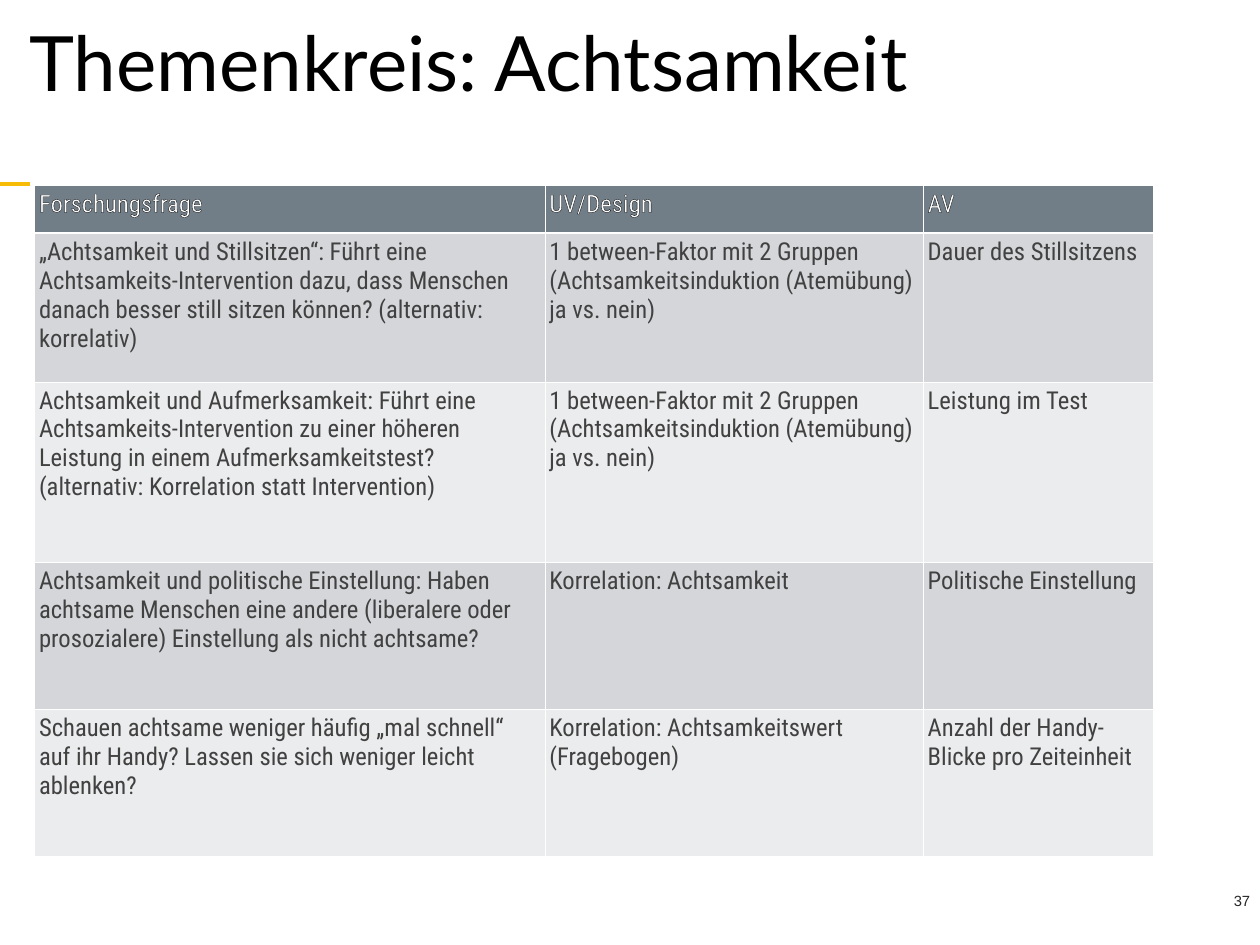
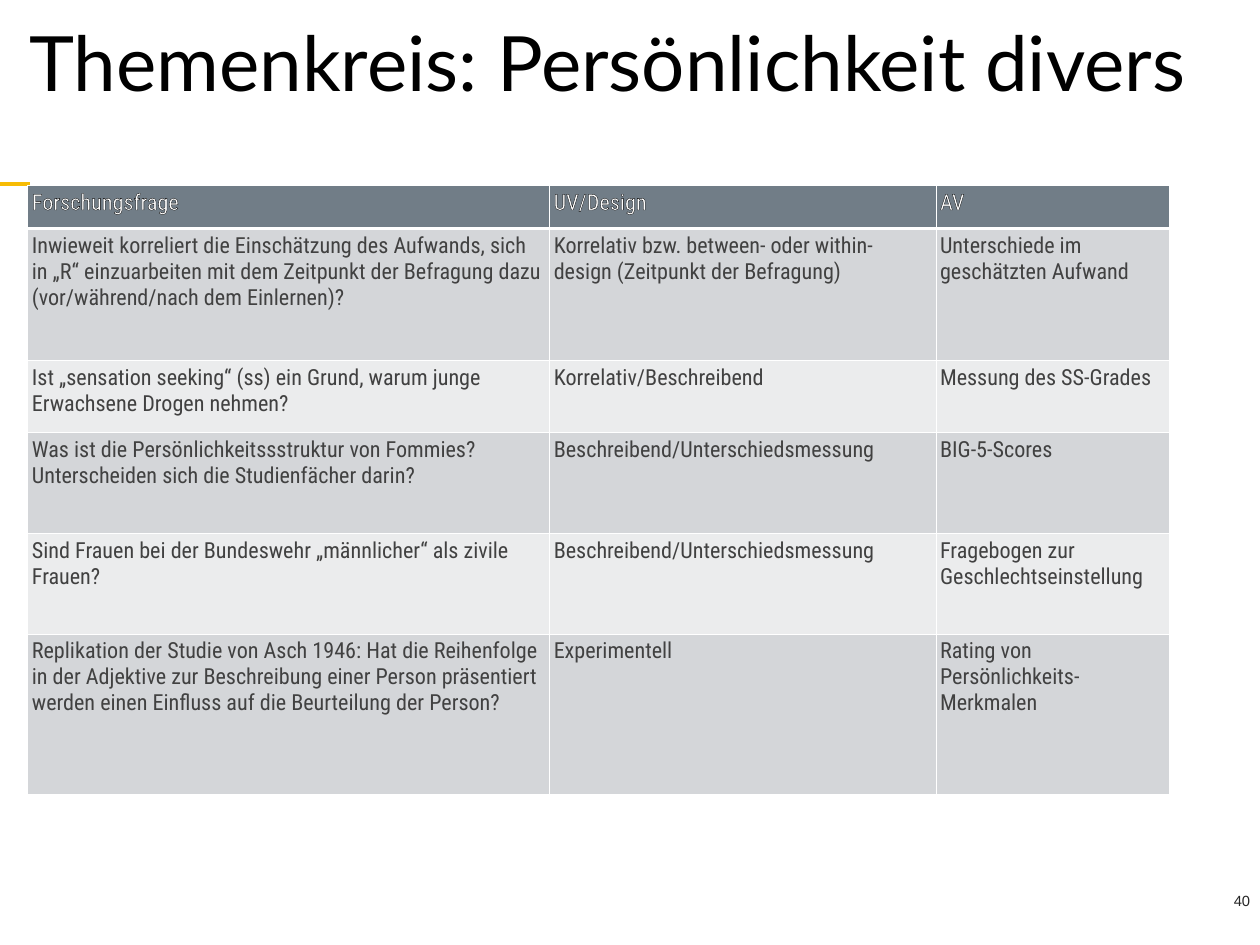
from dataclasses import dataclass

from lxml import etree
from pptx import Presentation
from pptx.dml.color import RGBColor
from pptx.enum.shapes import MSO_CONNECTOR
from pptx.enum.text import MSO_ANCHOR, PP_ALIGN
from pptx.oxml.ns import qn
from pptx.util import Inches, Pt

STRAIGHT = MSO_CONNECTOR.STRAIGHT
LEFT, RIGHT = PP_ALIGN.LEFT, PP_ALIGN.RIGHT
TOP, MIDDLE = MSO_ANCHOR.TOP, MSO_ANCHOR.MIDDLE
BLANK_LAYOUT = 6


@dataclass(frozen=True)
class Theme:
    title_color: str = "000000"
    accent: str = "F7BC05"
    number_color: str = "262626"
    header_fill: str = "717D87"
    header_text: str = "FFFFFF"
    header_outline: str = "000000"
    body_text: str = "414141"
    band_fills: tuple[str, str] = ("D4D6D9", "EBECED")
    border: str = "FFFFFF"
    title_font: str = "Lato"
    number_font: str = "Arial"
    table_font: str = "Roboto Condensed"
    title_size: float = 62
    number_size: float = 12
    accent_width: float = 3
    thin_border: float = 0.25
    header_border: float = 2
    cell_inset: float = 0.05


@dataclass(frozen=True)
class TopicPage:
    title: str
    number: str
    table_left: float
    text_size: float
    columns: tuple[float, ...]
    heights: tuple[float, ...]
    rows: tuple[tuple[str, str, str], ...]


THEME = Theme()
TABLE_TOP = 2.09
HEADER = ("Forschungsfrage", "UV/Design", "AV")
MINDFULNESS_DESIGN = "1 between-Faktor mit 2 Gruppen (Achtsamkeitsinduktion (Atemübung) ja vs. nein)"
DESCRIPTIVE_DESIGN = "Beschreibend/Unterschiedsmessung"

PAGES = (
    TopicPage(
        title="Themenkreis: Achtsamkeit",
        number="37",
        table_left=0.39,
        text_size=20,
        columns=(5.76, 4.27, 2.59),
        heights=(0.54, 1.68, 2.04, 1.66, 1.66),
        rows=(
            ("„Achtsamkeit und Stillsitzen“: Führt eine Achtsamkeits-Intervention dazu, "
             "dass Menschen danach besser still sitzen können? (alternativ: korrelativ)",
             MINDFULNESS_DESIGN, "Dauer des Stillsitzens"),
            ("Achtsamkeit und Aufmerksamkeit: Führt eine Achtsamkeits-Intervention zu einer "
             "höheren Leistung in einem Aufmerksamkeitstest? "
             "(alternativ: Korrelation statt Intervention)",
             MINDFULNESS_DESIGN, "Leistung im Test"),
            ("Achtsamkeit und politische Einstellung: Haben achtsame Menschen eine andere "
             "(liberalere oder prosozialere) Einstellung als nicht achtsame?",
             "Korrelation: Achtsamkeit", "Politische Einstellung"),
            ("Schauen achtsame weniger häufig „mal schnell“ auf ihr Handy? "
             "Lassen sie sich weniger leicht ablenken?",
             "Korrelation: Achtsamkeitswert (Fragebogen)",
             "Anzahl der Handy-Blicke pro Zeiteinheit"),
        ),
    ),
    TopicPage(
        title="Themenkreis: Persönlichkeit divers",
        number="40",
        table_left=0.31,
        text_size=18,
        columns=(5.89, 4.36, 2.64),
        heights=(0.49, 1.49, 0.81, 1.14, 1.14, 1.81),
        rows=(
            ("Inwieweit korreliert die Einschätzung des Aufwands, sich in „R“ einzuarbeiten "
             "mit dem Zeitpunkt der Befragung dazu (vor/während/nach dem Einlernen)?",
             "Korrelativ bzw. between- oder within-design (Zeitpunkt der Befragung)",
             "Unterschiede im geschätzten Aufwand"),
            ("Ist „sensation seeking“ (ss) ein Grund, warum junge Erwachsene Drogen nehmen?",
             "Korrelativ/Beschreibend", "Messung des SS-Grades"),
            ("Was ist die Persönlichkeitssstruktur von Fommies? "
             "Unterscheiden sich die Studienfächer darin?",
             DESCRIPTIVE_DESIGN, "BIG-5-Scores"),
            ("Sind Frauen bei der Bundeswehr „männlicher“ als zivile Frauen?",
             DESCRIPTIVE_DESIGN, "Fragebogen zur Geschlechtseinstellung"),
            ("Replikation der Studie von Asch 1946: Hat die Reihenfolge in der Adjektive zur "
             "Beschreibung einer Person präsentiert werden einen Einfluss auf die Beurteilung "
             "der Person?",
             "Experimentell", "Rating von Persönlichkeits-Merkmalen"),
        ),
    ),
)


def add_line_properties(parent, tag: str, color: str, width: float):
    line = etree.SubElement(parent, qn(tag), w=str(Pt(width)))
    fill = etree.SubElement(line, qn("a:solidFill"))
    etree.SubElement(fill, qn("a:srgbClr"), val=color)
    return line


def write_text(frame, text: str, *, font: str, size: float, color: str, align=LEFT,
               line_spacing: float = 1.0, indent: float = 0, outline: str = "") -> None:
    para = frame.paragraphs[0]
    para.alignment = align
    para.line_spacing = line_spacing
    if indent:
        properties = para._p.get_or_add_pPr()
        properties.set("marL", str(Inches(indent)))
        properties.set("indent", str(Inches(indent)))
    span = para.add_run()
    span.text = text
    span.font.name = font
    span.font.size = Pt(size)
    span.font.bold = False
    span.font.color.rgb = RGBColor.from_string(color)
    if outline:
        properties = span._r.get_or_add_rPr()
        properties.insert(0, add_line_properties(properties, "a:ln", outline, 0))


def add_text_box(page, left: float, top: float, width: float, height: float, text: str, *,
                 inset: float, anchor=TOP, **text_format) -> None:
    box = page.shapes.add_textbox(Inches(left), Inches(top), Inches(width), Inches(height))
    frame = box.text_frame
    frame.word_wrap = True
    frame.vertical_anchor = anchor
    frame.margin_left = frame.margin_right = Inches(inset)
    frame.margin_top = frame.margin_bottom = Inches(inset)
    write_text(frame, text, **text_format)


def add_accent_line(page) -> None:
    line = page.shapes.add_connector(STRAIGHT, Inches(0), Inches(2.08), Inches(0.34), Inches(2.08))
    line.line.color.rgb = RGBColor.from_string(THEME.accent)
    line.line.width = Pt(THEME.accent_width)
    etree.SubElement(line._element.spPr, qn("a:effectLst"))


def format_cell(cell, text: str, row_index: int, size: float) -> None:
    is_header = row_index == 0
    cell.margin_left = cell.margin_right = Inches(THEME.cell_inset)
    cell.margin_top = cell.margin_bottom = Inches(THEME.cell_inset)
    cell.vertical_anchor = TOP
    properties = cell._tc.get_or_add_tcPr()
    thick_side = {0: "a:lnB", 1: "a:lnT"}.get(row_index)
    for side in ("a:lnL", "a:lnR", "a:lnT", "a:lnB"):
        width = THEME.header_border if side == thick_side else THEME.thin_border
        add_line_properties(properties, side, THEME.border, width)
    fill = THEME.header_fill if is_header else THEME.band_fills[(row_index - 1) % 2]
    cell.fill.solid()
    cell.fill.fore_color.rgb = RGBColor.from_string(fill)
    write_text(cell.text_frame, text, font=THEME.table_font, size=size,
               color=THEME.header_text if is_header else THEME.body_text,
               outline=THEME.header_outline if is_header else "")


def add_topic_table(page, topic: TopicPage) -> None:
    rows = (HEADER, *topic.rows)
    table = page.shapes.add_table(
        len(rows), len(HEADER), Inches(topic.table_left), Inches(TABLE_TOP),
        Inches(sum(topic.columns)), Inches(sum(topic.heights))).table
    table.first_row = False
    table.horz_banding = False
    for column, width in zip(table.columns, topic.columns):
        column.width = Inches(width)
    for row, height in zip(table.rows, topic.heights):
        row.height = Inches(height)
    for row_index, texts in enumerate(rows):
        for column_index, text in enumerate(texts):
            format_cell(table.cell(row_index, column_index), text, row_index, topic.text_size)


def add_topic_page(deck, topic: TopicPage) -> None:
    page = deck.slides.add_slide(deck.slide_layouts[BLANK_LAYOUT])
    add_accent_line(page)
    add_text_box(page, 11.81, 10, 2.37, 0.33, topic.number, inset=0.07, align=RIGHT,
                 font=THEME.number_font, size=THEME.number_size, color=THEME.number_color)
    add_text_box(page, 0, -0.02, 14.23, 1.55, topic.title, inset=0.05, anchor=MIDDLE,
                 font=THEME.title_font, size=THEME.title_size, color=THEME.title_color,
                 line_spacing=0.9, indent=0.14)
    add_topic_table(page, topic)


def main() -> None:
    deck = Presentation()
    deck.slide_width = Inches(14.22)
    deck.slide_height = Inches(10.67)
    for topic in PAGES:
        add_topic_page(deck, topic)
    deck.save("out.pptx")


if __name__ == "__main__":
    main()
